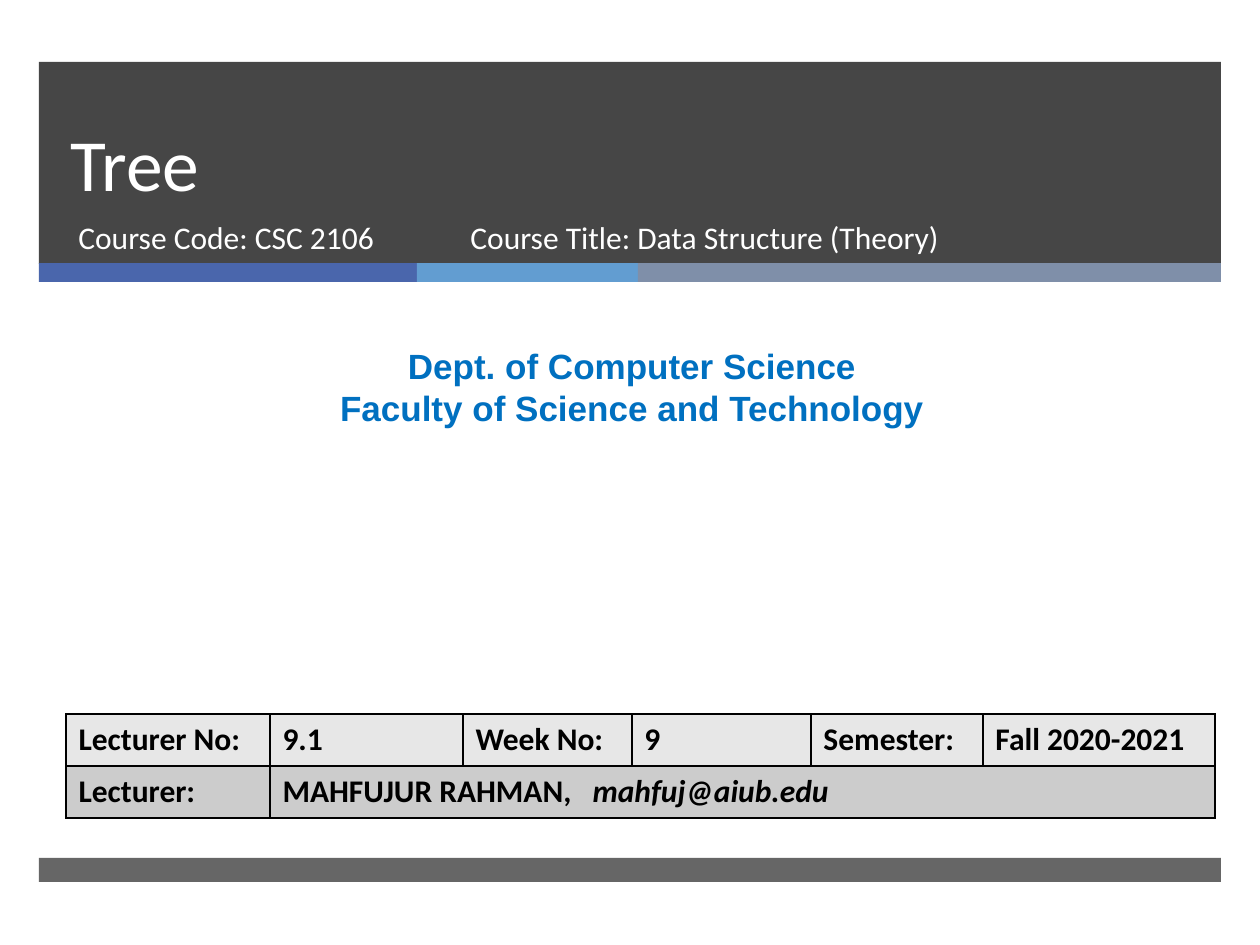
from lxml import etree
from pptx import Presentation
from pptx import util as u
from pptx.dml.color import RGBColor
from pptx.enum import shapes, text
from pptx.oxml import ns

SCALE = 914400 / 126
WHITE = RGBColor(0xFF, 0xFF, 0xFF)
BLACK = RGBColor(0, 0, 0)
DARK = RGBColor(0x26, 0x26, 0x26)
NAVY = RGBColor(0x4A, 0x66, 0xAC)
SKY = RGBColor(0x62, 0x9D, 0xD1)
SLATE = RGBColor(0x7F, 0x8F, 0xA9)
BLUE = RGBColor(0x00, 0x70, 0xC0)
PALE = RGBColor(0xE7, 0xE7, 0xE7)
GREY = RGBColor(0xCC, 0xCC, 0xCC)

TITLE = dict(name="Calibri", size=u.Pt(42), color=WHITE)
COURSE = dict(name="Calibri", size=u.Pt(18), color=WHITE)
DEPT = dict(name="Arial", size=u.Pt(20), color=BLUE, bold=True)
CELL = dict(name="Calibri", size=u.Pt(18), color=BLACK, bold=True)


def px(n):
    return u.Emu(round(n * SCALE))


def style(font, form):
    for key, val in form.items():
        if key == "color":
            font.color.rgb = val
        else:
            setattr(font, key, val)


def sub(node, tag, **attrs):
    return etree.SubElement(node, ns.qn(tag), attrs)


def add_bar(slide, box, color, alpha=None):
    """Plain bar; alpha is its opacity in percent."""
    bar = slide.shapes.add_shape(shapes.MSO_SHAPE.RECTANGLE, *map(px, box))
    bar.shadow.inherit = False
    bar.fill.solid()
    bar.fill.fore_color.rgb = color
    bar.line.fill.background()
    if alpha:
        tint = bar._element.spPr.find(".//" + ns.qn("a:srgbClr"))
        sub(tint, "a:alpha", val=str(alpha * 1000))


def add_text(slide, box, lines, form, align=text.PP_ALIGN.LEFT):
    frame = slide.shapes.add_textbox(*map(px, box)).text_frame
    frame.word_wrap = True
    for i, line in enumerate(lines):
        para = frame.add_paragraph() if i else frame.paragraphs[0]
        para.alignment = align
        run = para.add_run()
        run.text = line
        style(run.font, form)
    return frame


def add_header(slide, left, top, width, height):
    add_bar(slide, (left, top, width, height), DARK, 85)
    x, base = left, top + height - 1
    for color, part in ((NAVY, 378), (SKY, 221), (SLATE, width - 599)):
        add_bar(slide, (x, base, part, 19), color)
        x += part
    frame = add_text(slide, (left + 19, top, 1076, 150), ["Tree"], TITLE)
    frame.vertical_anchor = text.MSO_ANCHOR.BOTTOM
    frame.paragraphs[0].line_spacing = u.Pt(46)
    for dx, wide, line in ((27, 384, "Course Code: CSC 2106"),
                           (419, 573, "Course Title: Data Structure (Theory)")):
        add_text(slide, (left + dx, top + 150, wide, 67), [line], COURSE)


def edge(cell):
    """Draw a black line of one point on all four sides."""
    props = cell._tc.get_or_add_tcPr()
    for i, side in enumerate("LRTB"):
        line = etree.Element(ns.qn("a:ln" + side), w=str(u.Pt(1)))
        fill = sub(line, "a:solidFill")
        sub(fill, "a:srgbClr", val=str(BLACK))
        props.insert(i, line)


def add_info(slide, left, top, widths, high):
    rows = [["Lecturer No:", "9.1", "Week No:", "9", "Semester:", "Fall 2020-2021"],
            ["Lecturer:"]]
    box = map(px, (left, top, sum(widths), high * len(rows)))
    table = slide.shapes.add_table(len(rows), len(widths), *box).table
    table.first_row = table.horz_banding = False
    for col, wide in zip(table.columns, widths):
        col.width = px(wide)
    for r, (row, color) in enumerate(zip(rows, (PALE, GREY))):
        table.rows[r].height = px(high)
        for c in range(len(widths)):
            cell = table.cell(r, c)
            cell.fill.solid()
            cell.fill.fore_color.rgb = color
            edge(cell)
            if c < len(row):
                run = cell.text_frame.paragraphs[0].add_run()
                run.text = row[c]
                style(run.font, CELL)
    name = table.cell(1, 1)
    name.merge(table.cell(1, len(widths) - 1))
    para = name.text_frame.paragraphs[0]
    tabs = sub(para._p.get_or_add_pPr(), "a:tabLst")
    sub(tabs, "a:tab", pos=str(px(310)), algn="l")
    for part, slant in (("MAHFUJUR RAHMAN,\t", False), ("mahfuj@aiub.edu", True)):
        run = para.add_run()
        run.text = part
        style(run.font, CELL | dict(italic=slant))


def main():
    deck = Presentation()
    deck.slide_width, deck.slide_height = px(1260), px(945)
    slide = deck.slides.add_slide(deck.slide_layouts[6])
    add_header(slide, 39, 62, 1182, 202)
    add_bar(slide, (39, 858, 1182, 24), DARK, 70)
    add_text(slide, (10, 338, 1244, 97),
             ["Dept. of Computer Science", "Faculty of Science and Technology"],
             DEPT, text.PP_ALIGN.CENTER)
    add_info(slide, 66, 714, (204, 193, 169, 179, 172, 232), 52)
    deck.save("out.pptx")


if __name__ == "__main__":
    main()
